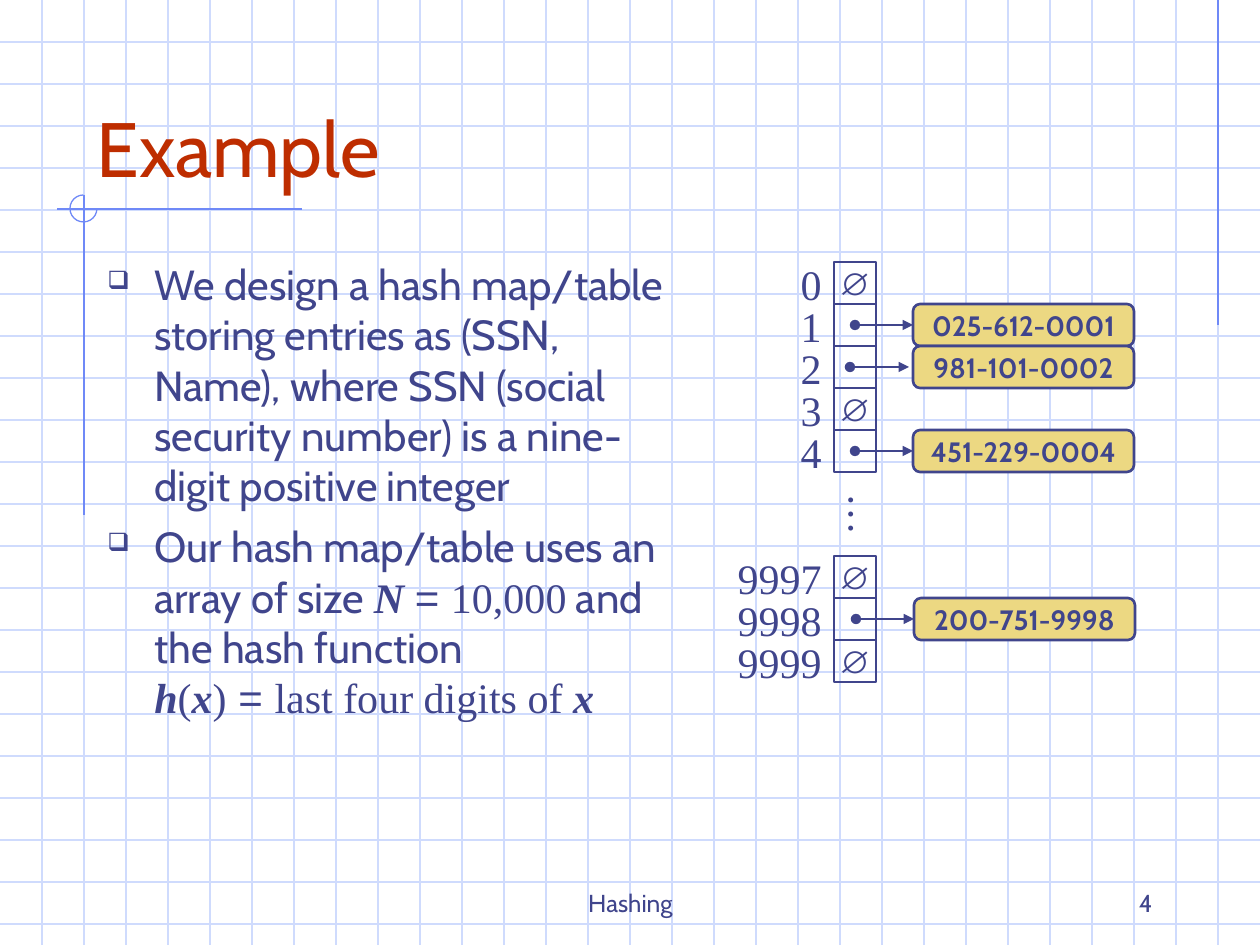
from typing import NamedTuple, Optional

from lxml import etree
from pptx import Presentation
from pptx import util as u
from pptx.dml import color
from pptx.enum import shapes, text
from pptx.oxml import ns

SCALE = 914400 / 126
W, H, STEP = 1260, 945, 42
INK, RED, GOLD, GRID, BLUE = "40458C", "BE2D00", "ECD882", "CFDBFD", "6F89F7"
SANS, SERIF, SYMBOL = "Cabin", "Times New Roman", "Arial"
CELL_X, CELL_Y, LABEL_RIGHT = 834, 262, 834
LEFT, CENTER, RIGHT = text.PP_ALIGN.LEFT, text.PP_ALIGN.CENTER, text.PP_ALIGN.RIGHT
TOP, MIDDLE, BOTTOM = text.MSO_ANCHOR.TOP, text.MSO_ANCHOR.MIDDLE, text.MSO_ANCHOR.BOTTOM
RECT, ROUND = shapes.MSO_SHAPE.RECTANGLE, shapes.MSO_SHAPE.ROUNDED_RECTANGLE


class Run(NamedTuple):
    text: str
    font: str = SANS
    strong: bool = False


class Record(NamedTuple):
    ssn: str
    x: int = 913
    start: int = 855
    end: Optional[int] = None


class Slot(NamedTuple):
    row: int
    label: str
    record: Optional[Record] = None


SLOTS = [
    Slot(0, "0"),
    Slot(1, "1", Record("025-612-0001")),
    Slot(2, "2", Record("981-101-0002", start=850, end=909)),
    Slot(3, "3"),
    Slot(4, "4", Record("451-229-0004")),
    Slot(7, "9997"),
    Slot(8, "9998", Record("200-751-9998", x=914, start=856)),
    Slot(9, "9999"),
]

BULLETS = [
    [Run("We design a hash map/table storing entries as (SSN, Name), where SSN "
         "(social security number) is a nine-digit positive integer")],
    [Run("Our hash map/table uses an array of size "), Run("N ", SERIF, True),
     Run("= ", SYMBOL), Run("10,000", SERIF), Run(" and the hash function\n"),
     Run("h", SERIF, True), Run("(", SERIF), Run("x", SERIF, True), Run(")", SERIF),
     Run(" = ", SYMBOL), Run("last four digits of ", SERIF), Run("x", SERIF, True)],
]


def px(n: float) -> int:
    return round(n * SCALE)


def rgb(value: str) -> color.RGBColor:
    return color.RGBColor.from_string(value)


def sub(parent, tag: str, **attrs: str):
    return etree.SubElement(parent, ns.qn(tag), attrs)


def format_run(r, size: int, font: str, fill: str, bold=None, italic=None) -> None:
    f = r.font
    f.size, f.name, f.bold, f.italic = u.Pt(size), font, bold, italic
    f.color.rgb = rgb(fill)


def write(sp, value: str, *, size: int, font=SANS, fill=INK, bold=None,
          align=CENTER, anchor=MIDDLE, wrap=False) -> None:
    tf = sp.text_frame
    tf.word_wrap, tf.vertical_anchor = wrap, anchor
    p = tf.paragraphs[0]
    p.alignment = align
    r = p.add_run()
    r.text = value
    format_run(r, size, font, fill, bold)


def textbox(parent, x: int, y: int, w: int, h: int, value: str, **fmt):
    sp = parent.add_textbox(px(x), px(y), px(w), px(h))
    write(sp, value, **fmt)
    return sp


def box(parent, kind, x: int, y: int, w: int, h: int, line=INK, width=1.5, fill=None):
    sp = parent.add_shape(kind, px(x), px(y), px(w), px(h))
    sp.shadow.inherit = False
    if fill:
        sp.fill.solid()
        sp.fill.fore_color.rgb = rgb(fill)
    else:
        sp.fill.background()
    sp.line.color.rgb, sp.line.width = rgb(line), u.Pt(width)
    return sp


def line(parent, x1: int, y1: int, x2: int, y2: int, stroke: str, width=0.75):
    cx = parent.add_connector(shapes.MSO_CONNECTOR.STRAIGHT, px(x1), px(y1), px(x2), px(y2))
    cx.line.color.rgb, cx.line.width = rgb(stroke), u.Pt(width)
    sub(cx._element.spPr, "a:effectLst")
    return cx


def draw_background(s) -> None:
    grid = s.shapes.add_group_shape().shapes
    for y in range(STEP, H, STEP):
        line(grid, 0, y, W, y, GRID)
    for x in range(STEP, W, STEP):
        line(grid, x, 0, x, H, GRID)
    line(grid, 1218, 0, 1218, 325, BLUE)
    ornament = s.shapes.add_group_shape().shapes
    line(ornament, 302, 209, 57, 209, BLUE)
    line(ornament, 84, 195, 84, 515, BLUE)
    arc = box(ornament, shapes.MSO_SHAPE.ARC, 70, 195, 27, 27, BLUE, 0.75)
    arc.adjustments[0], arc.adjustments[1] = 0, 270 * 0.6


def draw_body(s) -> None:
    tf = s.shapes.add_textbox(px(95), px(252), px(606), px(609)).text_frame
    tf.word_wrap = True
    for i, runs in enumerate(BULLETS):
        p = tf.add_paragraph() if i else tf.paragraphs[0]
        p.space_before = u.Pt(6)
        pPr = p._p.get_or_add_pPr()
        pPr.set("marL", str(px(47)))
        pPr.set("indent", str(-px(47)))
        sub(sub(pPr, "a:buClr"), "a:srgbClr", val=INK)
        sub(pPr, "a:buSzPct", val="60000")
        sub(pPr, "a:buChar", char="❑")
        for run in runs:
            r = p.add_run()
            r.text = run.text.rstrip("\n")
            format_run(r, 24, run.font, INK, run.strong, run.strong)
            if run.text.endswith("\n"):
                p.add_line_break()


def draw_record(parent, record: Record, y: int) -> None:
    sp = box(parent, ROUND, record.x, y, 221, STEP, fill=GOLD)
    write(sp, record.ssn, size=16, bold=True)
    middle = y + STEP // 2
    arrow = line(parent, record.start, middle, record.end or record.x, middle, INK, 1.5)
    if record.end is None:
        arrow.end_connect(sp, 1)
    ln = arrow.line._get_or_add_ln()
    sub(ln, "a:headEnd", type="oval")
    sub(ln, "a:tailEnd", type="triangle")


def draw_slot(parent, slot: Slot) -> None:
    y = CELL_Y + slot.row * STEP
    cell = box(parent, RECT, CELL_X, y, STEP, STEP)
    w = 28 + 21 * len(slot.label)
    label = textbox(parent, LABEL_RIGHT - w, y - 10, w, 63, slot.label,
                    size=24, font=SERIF, align=RIGHT, anchor=TOP)
    label.text_frame.auto_size = text.MSO_AUTO_SIZE.SHAPE_TO_FIT_TEXT
    if slot.record:
        draw_record(parent, slot.record, y)
    else:
        write(cell, "∅", size=18, font=SYMBOL)


def main() -> None:
    prs = Presentation()
    prs.slide_width, prs.slide_height = px(W), px(H)
    s = prs.slides.add_slide(prs.slide_layouts[6])
    draw_background(s)
    textbox(s.shapes, 431, 861, 399, 63, "Hashing", size=14, anchor=BOTTOM, wrap=True)
    textbox(s.shapes, 903, 861, 262, 63, "4", size=14, align=RIGHT, anchor=BOTTOM, wrap=True)
    textbox(s.shapes, 84, 42, 1102, 157, "Example", size=44, fill=RED,
            align=LEFT, anchor=BOTTOM, wrap=True)
    draw_body(s)
    table = s.shapes.add_group_shape().shapes
    for slot in SLOTS:
        draw_slot(table, slot)
    dots = textbox(table, 832, 483, 67, 63, "…", size=24, font=SERIF, anchor=TOP)
    dots.rotation = 90
    prs.save("out.pptx")


if __name__ == "__main__":
    main()
